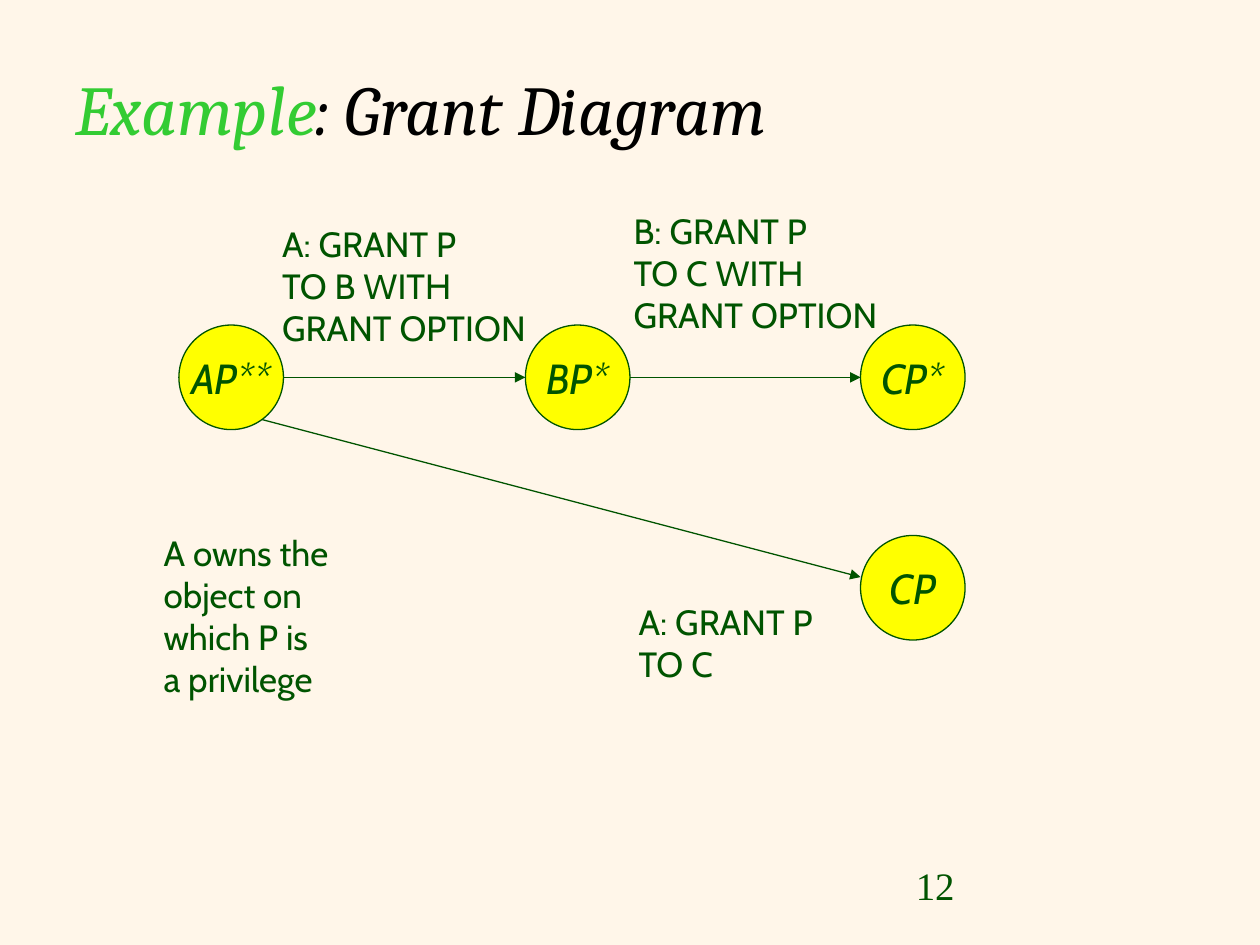
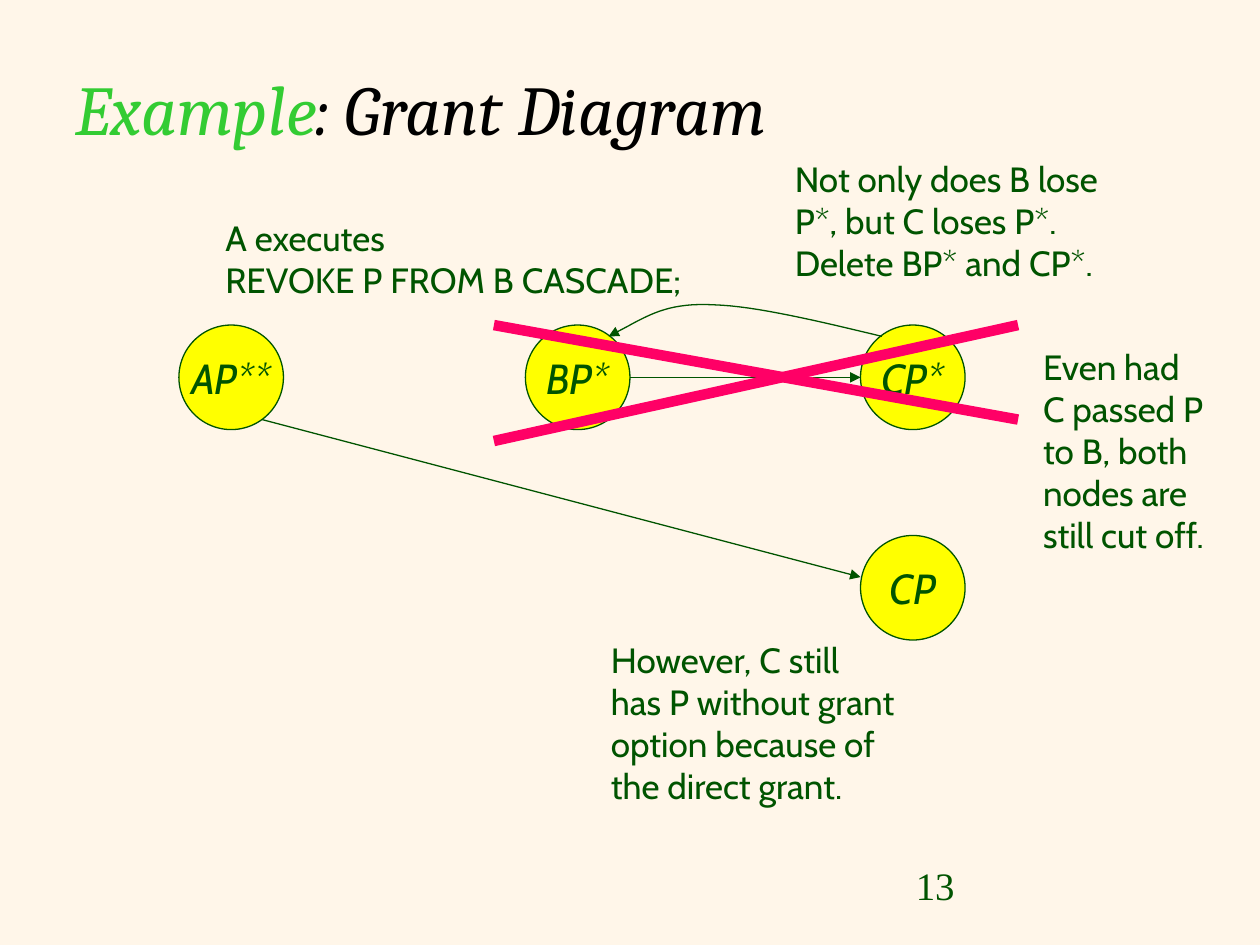
from lxml import etree
from pptx import Presentation
from pptx.dml.color import RGBColor
from pptx.enum.shapes import MSO_CONNECTOR, MSO_SHAPE
from pptx.enum.text import MSO_ANCHOR, MSO_AUTO_SIZE, PP_ALIGN
from pptx.oxml.ns import qn
from pptx.util import Inches, Pt

STRAIGHT = MSO_CONNECTOR.STRAIGHT
OVAL = MSO_SHAPE.OVAL
MIDDLE = MSO_ANCHOR.MIDDLE
FIT_TEXT, NO_FIT = MSO_AUTO_SIZE.SHAPE_TO_FIT_TEXT, MSO_AUTO_SIZE.NONE
LEFT, CENTER = PP_ALIGN.LEFT, PP_ALIGN.CENTER

# Content
TITLE = ("Example", ": Grant Diagram")
FIRST_NUMBER = 12
NODES = {  # label: left, top
    "AP**": (1.42, 2.58),
    "BP*": (4.17, 2.58),
    "CP*": (6.83, 2.58),
    "CP": (6.83, 4.25),
}
DIRECT_GRANT = ((2.08, 3.33), (6.83, 4.58))
SLIDES = [
    {
        "grants": [("AP**", "BP*"), ("BP*", "CP*")],
        "notes": [  # left, top, width, lines
            (1.2, 4.17, 1.64, ["A owns the", "object on", "which P is", "a privilege"]),
            (2.14, 1.72, 2.25, ["A: GRANT P", "TO B WITH", "GRANT OPTION"]),
            (4.93, 1.61, 2.25, ["B: GRANT P", "TO C WITH", "GRANT OPTION"]),
            (4.97, 4.72, 1.68, ["A: GRANT P", "TO C"]),
        ],
    },
    {
        "grants": [("BP*", "CP*")],
        "notes": [
            (1.69, 1.67, 3.96, ["A executes", "REVOKE P FROM B CASCADE;"]),
            (4.75, 5.02, 2.76, ["However, C still", "has P without grant",
                                "option because of", "the direct grant."]),
            (6.21, 1.2, 2.86, ["Not only does B lose", "P*, but C loses P*.",
                               "Delete BP* and CP*."]),
            (8.18, 2.69, 1.63, ["Even had", "C passed P", "to B, both",
                                "nodes are", "still cut off."]),
        ],
        "cross": [((3.92, 2.58), (8.08, 3.33)), ((3.92, 3.5), (8.08, 2.58))],
        "return_curves": [  # cubic curves: start, two controls, end
            ((7, 2.67), (6.5, 2.55), (6, 2.43), (5.67, 2.42)),
            ((5.67, 2.42), (5.33, 2.4), (5.17, 2.49), (5, 2.58)),
        ],
        "return_tip": ((5, 2.58), (4.83, 2.67)),
    },
]

# Shared style
COLORS = {
    "background": "FFF6E9",
    "ink": "005400",
    "node": "FFFF00",
    "accent": "33CC33",
    "title": "000000",
    "cross": "FF0066",
}
BODY_FONT, TITLE_FONT, NUMBER_FONT = "Cabin", "Cambria", "Times New Roman"
NODE_SIZE = 0.83
LINE_HEIGHT = 0.33
THIN, THICK = 0.75, 6
CURVE_STEPS = 16


def color(name):
    return RGBColor.from_string(COLORS[name])


def format_run(run, font, size, color_name="ink", italic=False):
    run.font.name = font
    run.font.size = Pt(size)
    run.font.color.rgb = color(color_name)
    run.font.italic = italic


def style_line(line, color_name="ink", width=THIN):
    line.color.rgb = color(color_name)
    line.width = Pt(width)


def add_title(slide):
    title = slide.shapes.title
    title.left, title.top = Inches(0.5), Inches(0.25)
    title.width, title.height = Inches(8.5), Inches(1.21)
    frame = title.text_frame
    frame.auto_size = NO_FIT
    frame.vertical_anchor = MIDDLE
    paragraph = frame.paragraphs[0]
    paragraph.alignment = LEFT
    for text, color_name in zip(TITLE, ("accent", "title")):
        run = paragraph.add_run()
        run.text = text
        format_run(run, TITLE_FONT, 40, color_name, italic=True)


def add_text(slide, left, top, width, height, lines, font=BODY_FONT, size=20):
    box = slide.shapes.add_textbox(
        Inches(left), Inches(top), Inches(width), Inches(height))
    frame = box.text_frame
    frame.text = "\n".join(lines)
    for paragraph in frame.paragraphs:
        format_run(paragraph.runs[0], font, size)
    return frame


def add_number(slide, number):
    frame = add_text(slide, 7.17, 6.83, 2.08, 0.5, [str(number)], NUMBER_FONT, 22.2)
    frame.word_wrap = True
    frame.paragraphs[0].line_spacing = 0.9


def add_note(slide, left, top, width, lines):
    height = LINE_HEIGHT * len(lines) + 0.1
    frame = add_text(slide, left, top, width, height, lines)
    frame.word_wrap = False
    frame.auto_size = FIT_TEXT


def add_node(slide, label, left, top):
    node = slide.shapes.add_shape(
        OVAL, Inches(left), Inches(top), Inches(NODE_SIZE), Inches(NODE_SIZE))
    node.shadow.inherit = False
    node.fill.solid()
    node.fill.fore_color.rgb = color("node")
    style_line(node.line)
    frame = node.text_frame
    frame.word_wrap = False
    frame.vertical_anchor = MIDDLE
    frame.text = label
    frame.paragraphs[0].alignment = CENTER
    format_run(frame.paragraphs[0].runs[0], BODY_FONT, 24, italic=True)


def add_line(slide, start, end, color_name="ink", width=THIN, arrow=True):
    points = [Inches(value) for value in (*start, *end)]
    connector = slide.shapes.add_connector(STRAIGHT, *points)
    style_line(connector.line, color_name, width)
    properties = connector._element.spPr
    if arrow:
        outline = properties.find(qn("a:ln"))
        etree.SubElement(outline, qn("a:tailEnd"), type="triangle")
    etree.SubElement(properties, qn("a:effectLst"))


def add_grant(slide, giver, receiver):
    start_left, top = NODES[giver]
    middle = top + NODE_SIZE / 2
    add_line(slide, (start_left + NODE_SIZE, middle), (NODES[receiver][0], middle))


def curve_point(curve, t):
    weights = ((1 - t) ** 3, 3 * t * (1 - t) ** 2, 3 * t ** 2 * (1 - t), t ** 3)
    return tuple(
        Inches(sum(weight * point[axis] for weight, point in zip(weights, curve)))
        for axis in (0, 1))


def add_curve(slide, curves):
    points = [curve_point(curve, step / CURVE_STEPS)
              for curve in curves for step in range(1, CURVE_STEPS + 1)]
    builder = slide.shapes.build_freeform(*curve_point(curves[0], 0))
    builder.add_line_segments(points, close=False)
    shape = builder.convert_to_shape()
    shape.shadow.inherit = False
    shape.fill.background()
    style_line(shape.line)


def build_slide(presentation, number, content):
    slide = presentation.slides.add_slide(presentation.slide_layouts.get_by_name("Title Only"))
    add_title(slide)
    add_number(slide, number)
    # Grant graph
    for label, (left, top) in NODES.items():
        add_node(slide, label, left, top)
    for giver, receiver in content["grants"]:
        add_grant(slide, giver, receiver)
    add_line(slide, *DIRECT_GRANT)
    for note in content["notes"]:
        add_note(slide, *note)
    # Revoked part
    for start, end in content.get("cross", []):
        add_line(slide, start, end, "cross", THICK, arrow=False)
    if "return_curves" in content:
        add_curve(slide, content["return_curves"])
        add_line(slide, *content["return_tip"])


def main():
    presentation = Presentation()
    presentation.slide_width, presentation.slide_height = Inches(10), Inches(7.5)
    background = presentation.slide_master.background.fill
    background.solid()
    background.fore_color.rgb = color("background")
    for number, content in enumerate(SLIDES, FIRST_NUMBER):
        build_slide(presentation, number, content)
    presentation.save("out.pptx")


if __name__ == "__main__":
    main()
